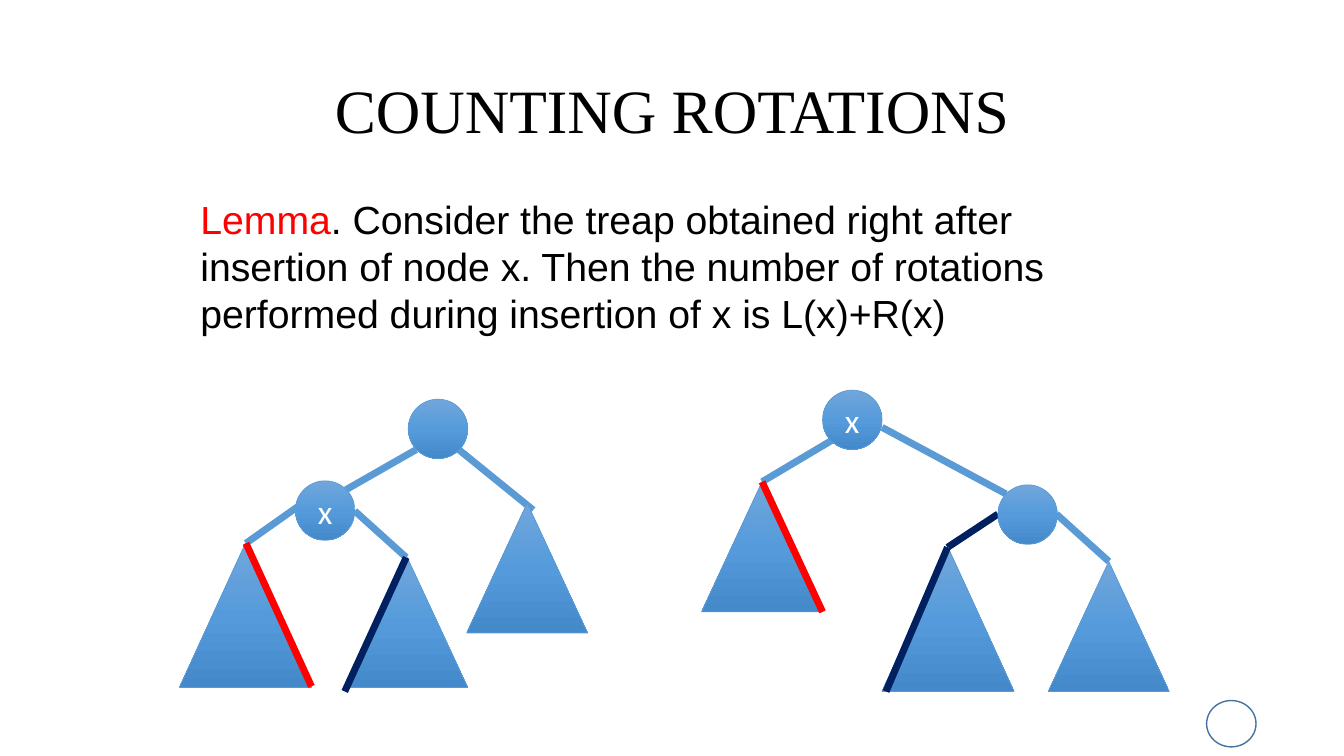
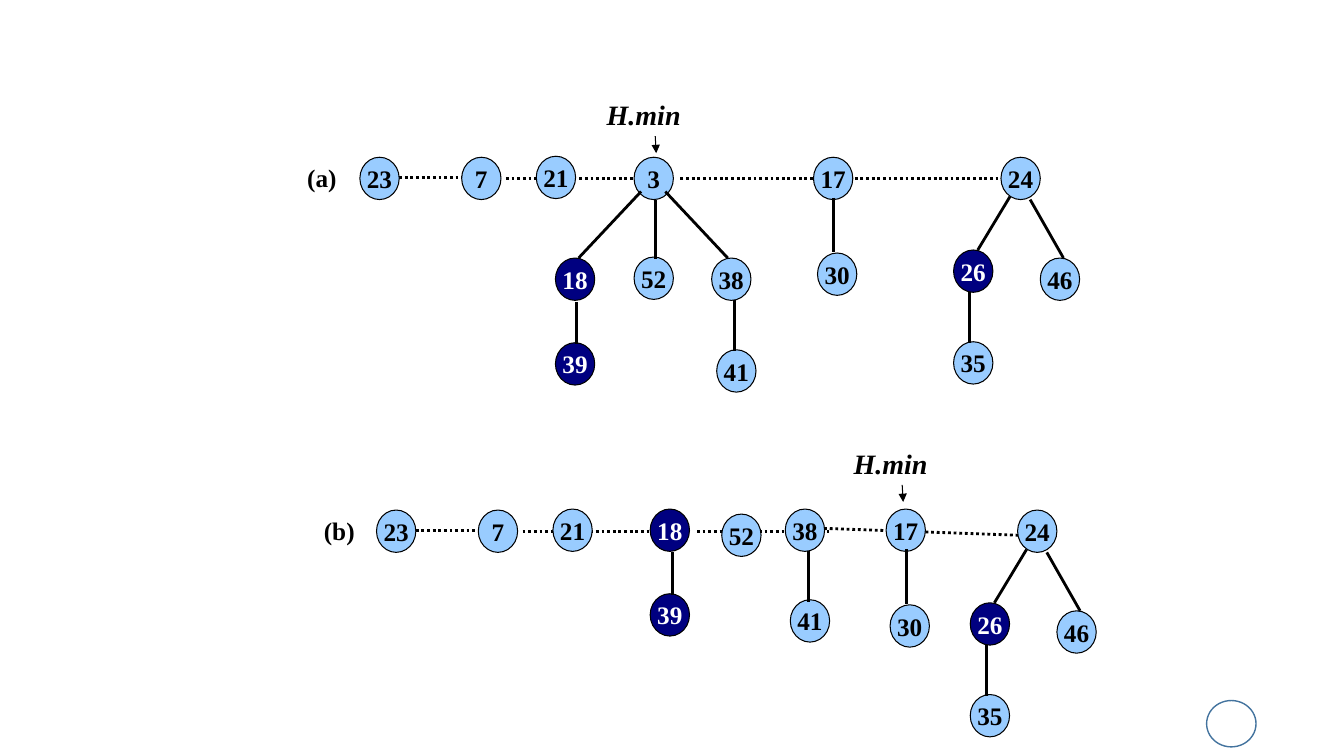
from copy import deepcopy

from pptx import Presentation
from pptx.dml.color import RGBColor
from pptx.enum.dml import MSO_LINE
from pptx.enum.shapes import MSO_CONNECTOR, MSO_SHAPE
from pptx.enum.text import MSO_ANCHOR, MSO_AUTO_SIZE, PP_ALIGN
from pptx.oxml.ns import qn
from pptx.oxml.xmlchemy import OxmlElement
from pptx.util import Inches, Pt

# Shared look; every place and size is in grid cells of a tenth of an inch
CELL = Inches(0.1)
COLUMNS, ROWS = 133.33, 75
SERIF, SANS, LABEL = "Times New Roman", "Arial", "Calibri"
COLORS = {
    "black": "000000", "white": "FFFFFF", "red": "FF0000",
    "ring": "43739E", "edge": "5B9BD5", "navy": "002060",
    "node": "99CCFF", "marked": "000080",
    "top": "71A6DB", "middle": "559BDB", "bottom": "448ACA",
}
RGB = {name: RGBColor.from_string(value) for name, value in COLORS.items()}


def write(box, text, size=18, color="black", font=SERIF, bold=False,
          italic=False, align=PP_ALIGN.LEFT, wrap=True, fit=False):
    """Add a formatted span to the first paragraph of a box."""
    frame = box.text_frame
    frame.word_wrap = wrap
    if fit:
        frame.auto_size = MSO_AUTO_SIZE.SHAPE_TO_FIT_TEXT
    para = frame.paragraphs[0]
    para.alignment = align
    span = para.add_run()
    span.text = text
    span.font.name, span.font.size = font, Pt(size)
    span.font.bold, span.font.italic = bold, italic
    span.font.color.rgb = RGB[color]
    return para


def draw_line(page, points, color="black", width=2, dash=None, arrow=False):
    """Connect two points, given as x1, y1, x2, y2 in cells."""
    line = page.shapes.add_connector(
        MSO_CONNECTOR.STRAIGHT, *[int(CELL * value) for value in points])
    line.line.color.rgb = RGB[color]
    line.line.width = Pt(width)
    if dash:
        line.line.dash_style = dash
    if arrow:
        tail = OxmlElement("a:tailEnd")
        tail.set("type", "triangle")
        line.element.spPr.find(qn("a:ln")).append(tail)
    line.element.spPr.append(OxmlElement("a:effectLst"))


deck = Presentation()
deck.slide_width, deck.slide_height = int(CELL * COLUMNS), int(CELL * ROWS)
treap_page = deck.slides.add_slide(deck.slide_layouts[5])
heap_page = deck.slides.add_slide(deck.slide_layouts[6])

# Page-number ring, kept on the slide master
ring = heap_page.shapes.add_shape(
    MSO_SHAPE.OVAL, *[int(CELL * value) for value in (119.7, 69.5, 4.9, 4.6)])
ring.shadow.inherit = False
ring.fill.background()
ring.line.color.rgb = RGB["ring"]
ring.line.width = Pt(1)
ring.element.nvSpPr.cNvPr.set("id", "20")
deck.slide_master.shapes.element.append(ring.element)

# Slide 1: title and lemma
title = treap_page.shapes.title
title.left, title.top, title.width, title.height = [
    int(CELL * value) for value in (9.2, 4, 115, 14.5)]
title.text_frame.vertical_anchor = MSO_ANCHOR.MIDDLE
write(title, "COUNTING ROTATIONS", size=44,
      align=PP_ALIGN.CENTER).line_spacing = 0.9

lemma = treap_page.shapes.add_textbox(
    *[int(CELL * value) for value in (18.9, 18.9, 94.4, 15.1)])
write(lemma, "Lemma", size=28, color="red", font=SANS, fit=True)
write(lemma, ". Consider the treap obtained right after insertion of node x. "
      "Then the number of rotations performed during insertion of x is "
      "L(x)+R(x)", size=28, font=SANS, fit=True)

# Slide 1: edges between nodes and subtrees
treap_edges = [
    (35.2, 50.7, 40.3, 55.3), (30.2, 49.8, 24.4, 53.9),
    (41.3, 44.6, 34.3, 48.6), (45.5, 44.6, 52.9, 50.6),
    (104.8, 51, 110, 55.7), (75.6, 47.8, 82.5, 43.7),
    (87.5, 42.4, 99.8, 49),
]
for points in treap_edges:
    draw_line(treap_page, points, color="edge", width=5)
draw_line(treap_page, (99, 51, 94, 54.3), color="navy", width=5)

# Slide 1: nodes and subtrees
NODE, SMALL, LARGE = (5.9, 5.9), (12, 12.9), (13.1, 14.3)
treap_parts = [
    (29.3, 47.7, NODE, "x"), (40.5, 39.6, NODE, ""),
    (99, 48.1, NODE, ""), (81.6, 38.7, NODE, "x"),
    (17.8, 53.9, LARGE, ""), (87.5, 54.3, LARGE, ""),
    (34.4, 55.3, SMALL, ""), (46.3, 49.9, SMALL, ""),
    (104, 55.7, SMALL, ""), (69.6, 47.8, SMALL, ""),
]
for left, top, size, label in treap_parts:
    kind = MSO_SHAPE.OVAL if size == NODE else MSO_SHAPE.ISOSCELES_TRIANGLE
    part = treap_page.shapes.add_shape(
        kind, *[int(CELL * value) for value in (left, top, *size)])
    part.shadow.inherit = False
    part.line.color.rgb = RGB["edge"]
    part.line.width = Pt(0.5)
    part.fill.gradient()
    part.fill.gradient_angle = 270
    stops = part.element.spPr.find(qn("a:gradFill")).find(qn("a:gsLst"))
    stops.insert(1, deepcopy(stops[0]))
    for stop, position, color in zip(part.fill.gradient_stops, (0, 0.5, 1),
                                     ("top", "middle", "bottom")):
        stop.position = position
        stop.color.rgb = RGB[color]
    if label:
        part.text_frame.vertical_anchor = MSO_ANCHOR.MIDDLE
        write(part, label, size=24, color="white", font=LABEL,
              align=PP_ALIGN.CENTER)

# Slide 1: highlighted spines
for color, points in [
    ("red", (24.4, 53.9, 30.9, 68.1)), ("navy", (40.3, 55.3, 34.2, 68.6)),
    ("navy", (94, 54.3, 87.9, 68.6)), ("red", (75.6, 47.8, 81.6, 60.7)),
]:
    draw_line(treap_page, points, color=color, width=5)

# Slide 2: what both heaps share, placed for heap (a)
MARKED = {"18", "26", "39"}
shared_nodes = {
    "23": (35.7, 15.6), "7": (45.8, 15.6), "21": (53.2, 15.5),
    "24": (99.3, 15.6), "26": (94.6, 24.8), "46": (103.2, 25.6),
    "35": (94.6, 33.9),
}
shared_links = [(39.6, 17.6, 45.8, 17.6), (50.2, 17.7, 62.9, 17.7),
                (67.5, 17.7, 80.7, 17.7)]
shared_edges = [(100.2, 19.5, 97, 24.8), (102.2, 19.8, 105.5, 25.6),
                (96.2, 29, 96.2, 34)]

# Slide 2: each heap's shift from (a) and its own parts
heaps = [
    {
        "name": "(a)", "shift": (0, 0), "min": (59.2, 9.2),
        "nodes": {
            "3": (62.9, 15.6), "17": (80.7, 15.6), "18": (55.1, 25.6),
            "52": (62.9, 25.5), "38": (70.6, 25.6), "30": (81.1, 25.1),
            "39": (55.1, 34), "41": (71.1, 34.7),
        },
        "link": (84.8, 17.7, 99.3, 17.7),
        "edges": [
            (63.6, 19, 57.4, 25.6), (65, 19.8, 65, 25.7),
            (66, 19, 72.2, 25.6), (57.2, 30, 57.2, 34.1),
            (72.9, 29.8, 72.9, 34.8), (82.7, 19.6, 82.7, 25),
        ],
    },
    {
        "name": "(b)", "shift": (1.65, 35), "min": (83.7, 43.8),
        "nodes": {
            "18": (64.5, 50.5), "52": (71.6, 51), "38": (77.9, 50.5),
            "17": (87.9, 50.5), "39": (64.5, 58.9), "41": (78.4, 59.5),
            "30": (88.3, 60),
        },
        "link": (81.2, 52.4, 101, 53.1),
        "edges": [(66.7, 54.8, 66.7, 59), (80.2, 54.7, 80.2, 59.7),
                  (89.9, 54.5, 89.9, 59.9)],
    },
]

for heap in heaps:
    right, down = heap["shift"]

    # Dotted root list
    links = [(x1 + right, y1 + down, x2 + right, y2 + down)
             for x1, y1, x2, y2 in shared_links]
    for points in links + [heap["link"]]:
        draw_line(heap_page, points, dash=MSO_LINE.ROUND_DOT)

    # Nodes
    nodes = {key: (x + right, y + down)
             for key, (x, y) in shared_nodes.items()}
    for key, (left, top) in (nodes | heap["nodes"]).items():
        node = heap_page.shapes.add_shape(
            MSO_SHAPE.OVAL,
            *[int(CELL * value) for value in (left, top, 3.9, 4.2)])
        node.shadow.inherit = False
        node.fill.solid()
        node.fill.fore_color.rgb = RGB["marked" if key in MARKED else "node"]
        node.line.color.rgb = RGB["black"]
        node.line.width = Pt(0.75)
        node.text_frame.vertical_anchor = MSO_ANCHOR.MIDDLE
        write(node, key, color="white" if key in MARKED else "black",
              bold=True, align=PP_ALIGN.CENTER, wrap=False)

    # Edges from parent to child
    edges = [(x1 + right, y1 + down, x2 + right, y2 + down)
             for x1, y1, x2, y2 in shared_edges]
    for points in edges + heap["edges"]:
        draw_line(heap_page, points)

    # Heap name, and the pointer to its minimum
    left, top = heap["min"]
    for text, place, size, italic in [
        (heap["name"], (29.5 + right, 15.6 + down, 6, 4), 18, False),
        ("H.min", (left, top, 11, 4.3), 20, True),
    ]:
        box = heap_page.shapes.add_textbox(
            *[int(CELL * value) for value in place])
        write(box, text, size=size, bold=True, italic=italic, fit=True)
    draw_line(heap_page, (left + 5.8, top + 4.3, left + 5.9, top + 6),
              width=0.75, arrow=True)

deck.save("out.pptx")
